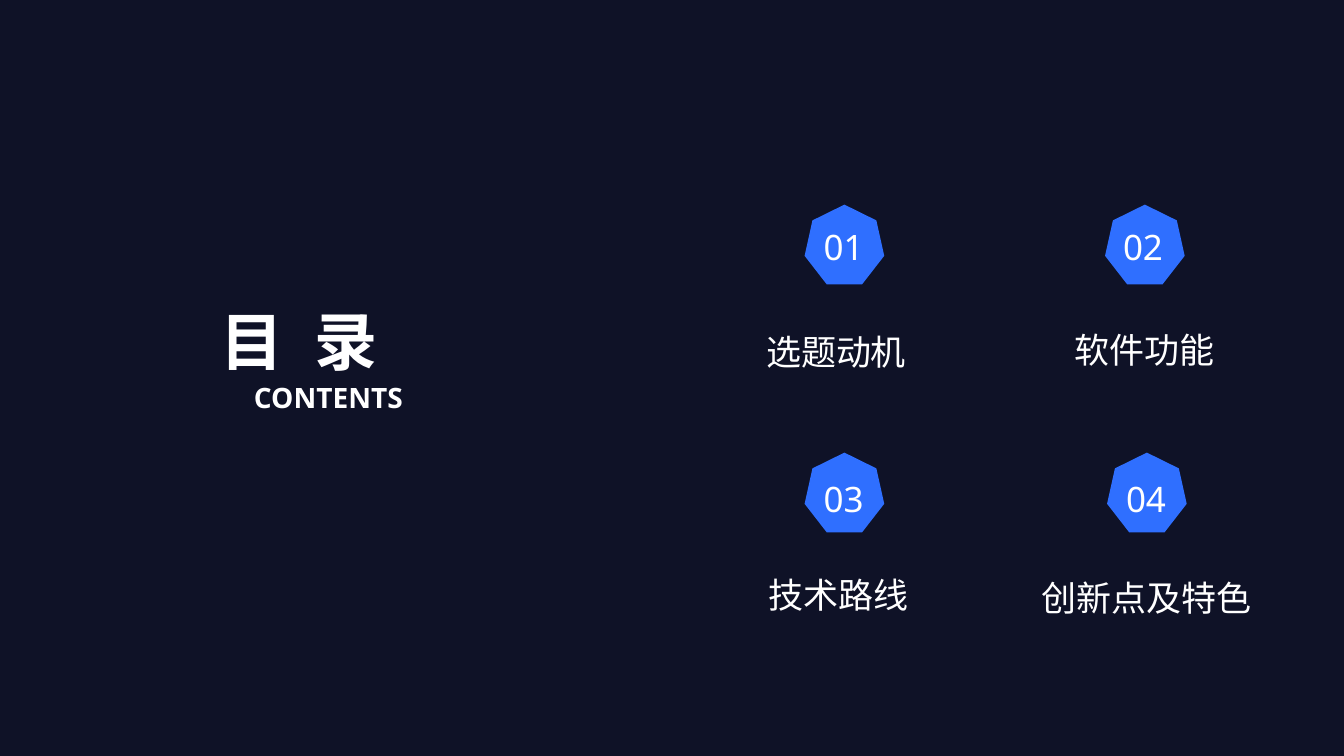
from lxml.etree import SubElement
from pptx import Presentation
from pptx.dml.color import RGBColor
from pptx.enum.shapes import MSO_SHAPE
from pptx.enum.text import MSO_AUTO_SIZE
from pptx.oxml.ns import qn
from pptx.util import Inches, Pt

BACKGROUND = "0F1227"
BLUE = "2F6FFF"
WHITE = "FFFFFF"
LATIN_FONT = "Noto Sans"
CHINESE_FONT = "Noto Sans CJK SC"
BADGE_SIZE = 0.79
LABEL_HEIGHT = 0.52

# number, badge left and top, number left and top, label, label left, top and width
CHAPTERS = [
    ("01", (7.98, 2.03), (8.07, 2.19), "选题动机", (7.5, 3.23, 1.59)),
    ("02", (10.96, 2.03), (11.04, 2.19), "软件功能", (10.56, 3.21, 1.59)),
    ("03", (7.98, 4.49), (8.07, 4.69), "技术路线", (7.52, 5.64, 1.59)),
    ("04", (10.98, 4.49), (11.07, 4.69), "创新点及特色", (10.23, 5.67, 2.28)),
]


def color(hex_value):
    return RGBColor.from_string(hex_value)


def add_text(page, text, left, top, width, height, size=25, bold=False, spacing=0):
    """Add a one-line text box; spacing is the gap between letters in points."""
    box = page.shapes.add_textbox(
        Inches(left), Inches(top), Inches(width), Inches(height))
    frame = box.text_frame
    frame.word_wrap = False
    frame.auto_size = MSO_AUTO_SIZE.SHAPE_TO_FIT_TEXT
    para = frame.paragraphs[0]
    span = para.add_run()
    span.text = text
    para.font.size = Pt(size)
    para.font.bold = bold
    para.font.name = LATIN_FONT
    para.font.color.rgb = color(WHITE)
    # The run carries the East Asian font and the letter spacing.
    properties = span.font._element
    SubElement(properties, qn("a:ea")).set("typeface", CHINESE_FONT)
    if spacing:
        properties.set("spc", str(spacing * 100))


def add_badge(page, left, top):
    badge = page.shapes.add_shape(
        MSO_SHAPE.HEPTAGON, Inches(left), Inches(top),
        Inches(BADGE_SIZE), Inches(BADGE_SIZE))
    badge.shadow.inherit = False
    badge.fill.solid()
    badge.fill.fore_color.rgb = color(BLUE)
    badge.line.fill.background()


def add_chapter(page, number, badge_at, number_at, label, label_at):
    add_badge(page, *badge_at)
    add_text(page, number, *number_at, 0.6, LABEL_HEIGHT)
    add_text(page, label, *label_at, LABEL_HEIGHT)


def main():
    deck = Presentation()
    deck.slide_width = Inches(13.33)
    deck.slide_height = Inches(7.5)
    page = deck.slides.add_slide(deck.slide_layouts[6])
    page.background.fill.solid()
    page.background.fill.fore_color.rgb = color(BACKGROUND)

    add_text(page, "目 录", 2.09, 2.95, 1.82, 0.86, size=45, bold=True, spacing=6)
    add_text(page, "CONTENTS", 2.42, 3.73, 1.73, 0.44, size=20, bold=True)
    for chapter in CHAPTERS:
        add_chapter(page, *chapter)

    deck.save("out.pptx")


if __name__ == "__main__":
    main()
